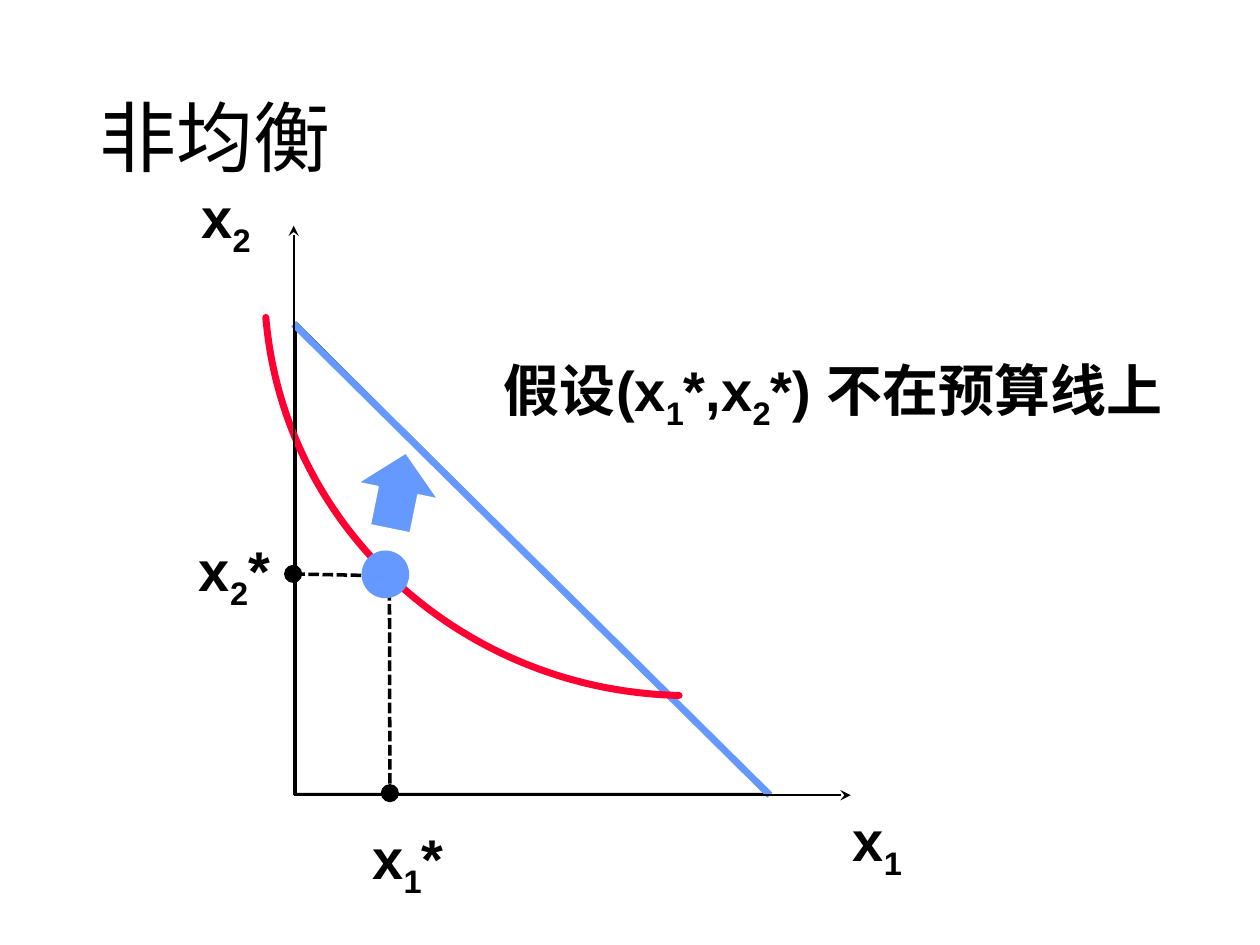
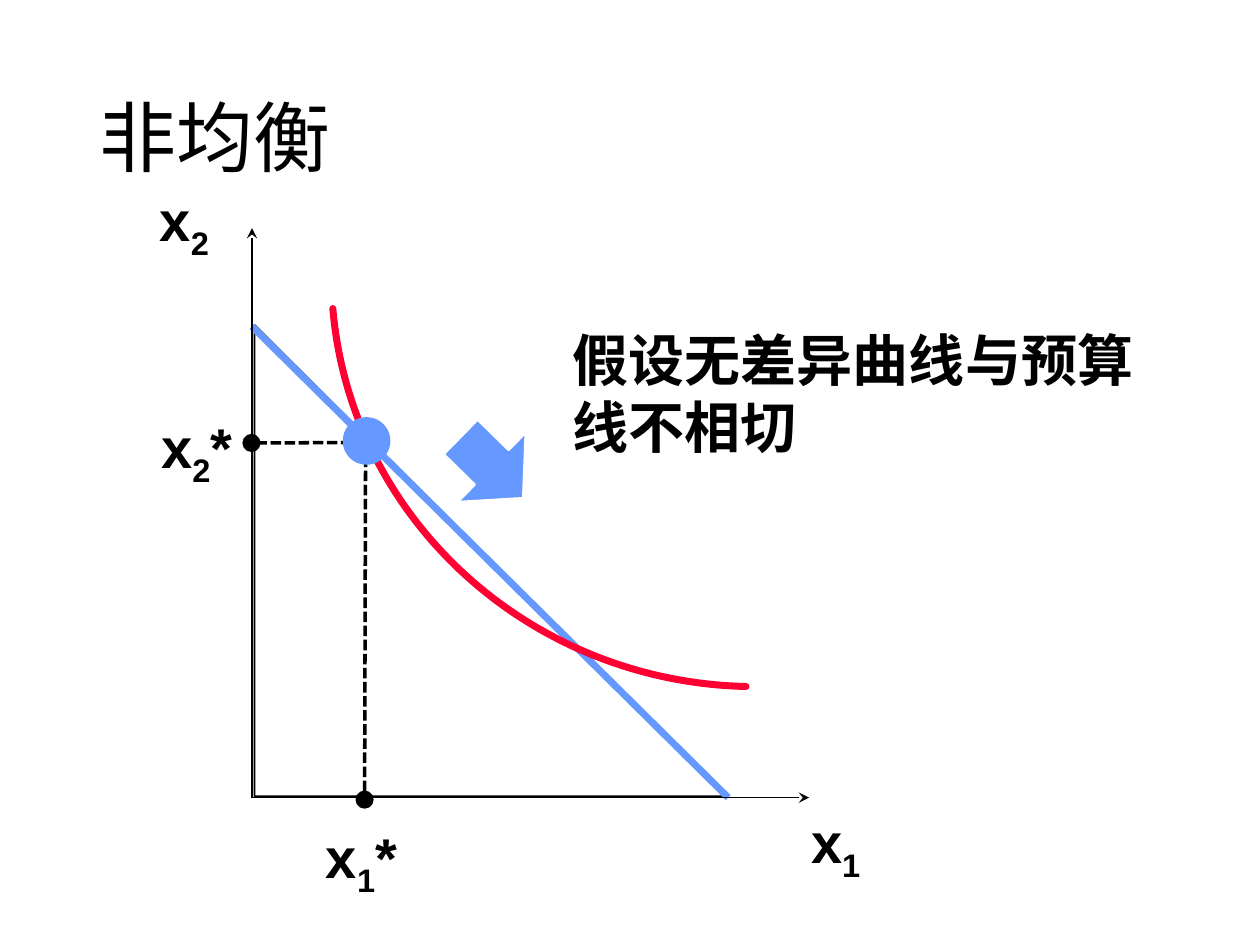
from dataclasses import dataclass

from lxml import etree
from pptx import Presentation
from pptx.dml.color import RGBColor
from pptx.enum.dml import MSO_LINE
from pptx.enum.shapes import MSO_CONNECTOR, MSO_SHAPE
from pptx.enum.text import MSO_ANCHOR
from pptx.oxml.ns import qn
from pptx.util import Cm, Pt

STRAIGHT = MSO_CONNECTOR.STRAIGHT
TRIANGLE = MSO_SHAPE.RIGHT_TRIANGLE
ELLIPSE = MSO_SHAPE.OVAL
ARROW = MSO_SHAPE.RIGHT_ARROW
DOTTED = MSO_LINE.SQUARE_DOT
TOP, MIDDLE = MSO_ANCHOR.TOP, MSO_ANCHOR.MIDDLE

BLACK, WHITE, BLUE, RED = "000000", "FFFFFF", "6699FF", "FF0033"

BUDGET_WIDTH, BUDGET_HEIGHT = 9.6, 9.5
# Bezier points of the indifference curve, from its upper left end
CURVE_POINTS = [(0.36, 4.24), (3.96, 7.52), (8.33, 7.62)]


@dataclass
class Diagram:
    """One disequilibrium case; positions are in centimetres."""
    origin: tuple
    curve_start: tuple
    bundle: tuple
    guide_corner: tuple
    x1_dot: tuple
    x2_dot: tuple
    x1_label: tuple
    x2_label: tuple
    note: str
    note_box: tuple
    arrow_box: tuple
    arrow_rotation: float


DIAGRAMS = [
    Diagram(origin=(5.92, 16.03), curve_start=(5.36, 6.4),
            bundle=(7.77, 11.58), guide_corner=(7.85, 11.61),
            x1_dot=(7.86, 15.99), x2_dot=(5.91, 11.57),
            x1_label=(7.26, 16.48), x2_label=(3.76, 10.67),
            note="假设(x_1*,x_2*) 不在预算线上",
            note_box=(9.91, 7.04, 14.07, 1.63),
            arrow_box=(7.24, 9.07, 1.57, 1.65), arrow_rotation=281.6),
    Diagram(origin=(5.08, 16.08), curve_start=(6.71, 6.22),
            bundle=(7.39, 8.89), guide_corner=(7.37, 8.92),
            x1_dot=(7.35, 16.12), x2_dot=(5.07, 8.93),
            x1_label=(6.32, 16.46), x2_label=(3, 8.2),
            note="假设无差异曲线与预算线不相切",
            note_box=(11.3, 6.43, 12.32, 3),
            arrow_box=(9.04, 8.46, 1.75, 1.93), arrow_rotation=44.4),
]


def color(hex_code):
    return RGBColor.from_string(hex_code)


def lengths(values):
    return [Cm(value) for value in values]


def style_line(line, hex_code, width):
    line.color.rgb = color(hex_code)
    line.width = Pt(width)


def style_shape(shape, fill=None, line=None, width=1):
    shape.shadow.inherit = False
    if fill:
        shape.fill.solid()
        shape.fill.fore_color.rgb = color(fill)
    else:
        shape.fill.background()
    if line:
        style_line(shape.line, line, width)
    else:
        shape.line.fill.background()


def add_shape(slide, kind, box, rotation=0, **style):
    shape = slide.shapes.add_shape(kind, *lengths(box))
    shape.rotation = rotation
    style_shape(shape, **style)


def add_circle(slide, center, diameter, **style):
    x, y = center
    box = (x - diameter / 2, y - diameter / 2, diameter, diameter)
    add_shape(slide, ELLIPSE, box, **style)


def add_line(slide, start, end, hex_code=BLACK, width=1, dash=None, arrow=False):
    connector = slide.shapes.add_connector(STRAIGHT, *lengths(start + end))
    style_line(connector.line, hex_code, width)
    if dash:
        connector.line.dash_style = dash
    properties = connector._element.spPr
    if arrow:
        etree.SubElement(properties.find(qn("a:ln")), qn("a:tailEnd"), type="stealth")
    etree.SubElement(properties, qn("a:effectLst"))


def add_text(slide, text, box, size=32, font="Arial", bold=True, wrap=True,
             anchor=TOP, spacing=None):
    """Add a text box; the character after each underscore is a subscript."""
    frame = slide.shapes.add_textbox(*lengths(box)).text_frame
    frame.word_wrap = wrap
    frame.vertical_anchor = anchor
    paragraph = frame.paragraphs[0]
    if spacing:
        paragraph.line_spacing = spacing
    first, *rest = text.split("_")
    pieces = [(first, False)]
    for part in rest:
        pieces += [(part[0], True), (part[1:], False)]
    for piece, subscript in pieces:
        if not piece:
            continue
        run = paragraph.add_run()
        run.text = piece
        run.font.size, run.font.name, run.font.bold = Pt(size), font, bold
        run.font.color.rgb = color(BLACK)
        if subscript:
            run.font._element.set("baseline", "-25000")


def add_label(slide, text, position):
    width = 1.98 if text.endswith("*") else 1.55
    add_text(slide, text, (*position, width, 1.6), wrap=False)


def add_curve(slide, start):
    """Draw the indifference curve as a single Bezier segment."""
    x, y = start
    builder = slide.shapes.build_freeform(Cm(x), Cm(y))
    builder.add_line_segments([lengths((x + dx, y + dy)) for dx, dy in CURVE_POINTS],
                              close=False)
    shape = builder.convert_to_shape()
    style_shape(shape, line=RED, width=4)
    shape.line._ln.set("cap", "rnd")
    segments = list(shape._element.iter(qn("a:lnTo")))
    outline = segments[0].getparent()
    bezier = etree.SubElement(outline, qn("a:cubicBezTo"))
    for segment in segments:
        bezier.append(segment[0])
        outline.remove(segment)


def add_budget_line(slide, origin):
    x, y = origin
    add_shape(slide, TRIANGLE, (x + 0.05, y - BUDGET_HEIGHT - 0.03,
                                BUDGET_WIDTH - 0.05, BUDGET_HEIGHT), line=BLACK)
    add_line(slide, (x, y - BUDGET_HEIGHT), (x + BUDGET_WIDTH, y), BLUE, 4)


def add_axes(slide, origin):
    x, y = origin
    add_line(slide, origin, (x, y - 11.48), arrow=True)
    add_line(slide, origin, (x + 11.23, y), arrow=True)
    add_label(slide, "x_1", (x + 11.02, y + 0.08))
    add_label(slide, "x_2", (x - 2.11, y - 12.47))


def add_bundle(slide, diagram):
    """Mark the chosen bundle and its coordinates on both axes."""
    dots = (diagram.x1_dot, diagram.x2_dot)
    for dot in dots:
        add_line(slide, diagram.guide_corner, dot, width=2, dash=DOTTED)
    add_circle(slide, diagram.bundle, 0.96, fill=BLUE)
    for dot in dots:
        add_circle(slide, dot, 0.33, fill=BLACK, line=BLACK)
    add_label(slide, "x_1*", diagram.x1_label)
    add_label(slide, "x_2*", diagram.x2_label)


def add_diagram_slide(presentation, diagram):
    slide = presentation.slides.add_slide(presentation.slide_layouts[6])
    add_text(slide, "非均衡", (1.75, 1.02, 21.89, 3.68), size=44, font="Calibri",
             bold=False, anchor=MIDDLE, spacing=0.9)
    add_budget_line(slide, diagram.origin)
    add_curve(slide, diagram.curve_start)
    add_axes(slide, diagram.origin)
    add_bundle(slide, diagram)
    add_text(slide, diagram.note, diagram.note_box)
    add_shape(slide, ARROW, diagram.arrow_box, diagram.arrow_rotation,
              fill=BLUE, line=WHITE)


def main():
    presentation = Presentation()
    presentation.slide_width, presentation.slide_height = Cm(25.4), Cm(19.05)
    for diagram in DIAGRAMS:
        add_diagram_slide(presentation, diagram)
    presentation.save("out.pptx")


if __name__ == "__main__":
    main()
